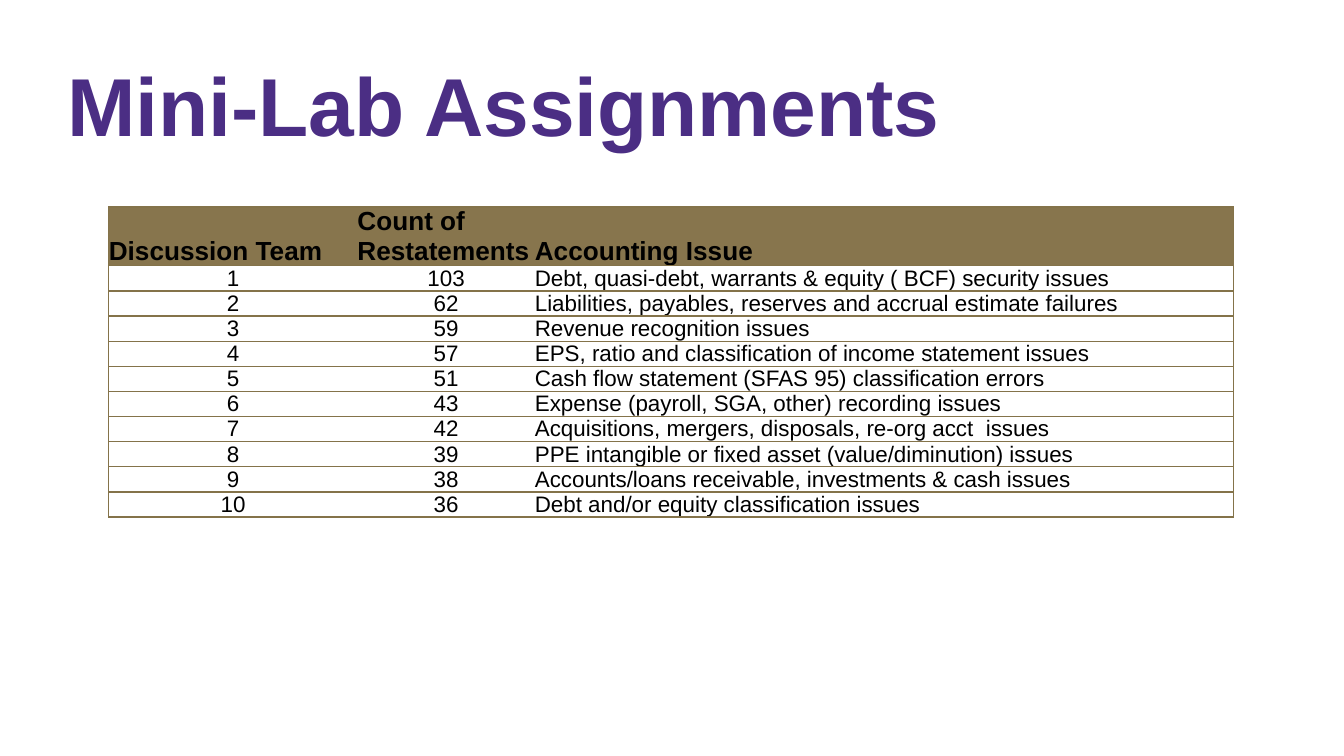
from lxml import etree
from pptx import Presentation
from pptx.dml.color import RGBColor
from pptx.enum.text import MSO_ANCHOR, MSO_AUTO_SIZE, PP_ALIGN
from pptx.oxml.ns import qn
from pptx.util import Inches, Pt

BOTTOM = MSO_ANCHOR.BOTTOM
LEFT, CENTER = PP_ALIGN.LEFT, PP_ALIGN.CENTER
NO_AUTOFIT = MSO_AUTO_SIZE.NONE
TITLE_ONLY = 5

COLORS = {"purple": "4B2E84", "gold": "84734A", "header": "87754D",
          "black": "000000"}
TITLE_FONT = {"name": "Arial", "size": Pt(44), "bold": True}
HEADER_FONT = {"name": "Arial", "size": Pt(14), "bold": True}
BODY_FONT = {"name": "Arial", "size": Pt(12), "bold": False}
CELL_FORMAT = {"margin_left": 0, "margin_right": 0, "margin_top": 0,
               "margin_bottom": 0, "vertical_anchor": BOTTOM}

COLUMN_WIDTHS = [1.85, 1.32, 5.2]
ROW_HEIGHT = 0.18
HEADINGS = ["Discussion Team", "Count of Restatements", "Accounting Issue"]
ISSUES = [
    (103, "Debt, quasi-debt, warrants & equity ( BCF) security issues"),
    (62, "Liabilities, payables, reserves and accrual estimate failures"),
    (59, "Revenue recognition issues"),
    (57, "EPS, ratio and classification of income statement issues"),
    (51, "Cash flow statement (SFAS 95) classification errors"),
    (43, "Expense (payroll, SGA, other) recording issues"),
    (42, "Acquisitions, mergers, disposals, re-org acct  issues"),
    (39, "PPE intangible or fixed asset (value/diminution) issues"),
    (38, "Accounts/loans receivable, investments & cash issues"),
    (36, "Debt and/or equity classification issues"),
]


def apply(target, values):
    for name, value in values.items():
        setattr(target, name, value)


def write(paragraph, text, font, color, align):
    paragraph.alignment = align
    run = paragraph.add_run()
    run.text = text
    apply(run.font, font)
    run.font.color.rgb = RGBColor.from_string(COLORS[color])


def set_borders(cell, sides):
    """Draw gold lines on the given sides and hide the others."""
    properties = cell._tc.get_or_add_tcPr()
    for side in "LRTB":
        line = etree.SubElement(properties, qn(f"a:ln{side}"), w=str(Pt(0.75)))
        if side in sides:
            fill = etree.SubElement(line, qn("a:solidFill"))
            etree.SubElement(fill, qn("a:srgbClr"), val=COLORS["gold"])
        else:
            etree.SubElement(line, qn("a:noFill"))


def add_title(slide, left, top, width, height):
    title = slide.shapes.title
    apply(title, {"left": Inches(left), "top": Inches(top),
                  "width": Inches(width), "height": Inches(height)})
    frame = title.text_frame
    apply(frame, {"auto_size": NO_AUTOFIT, "word_wrap": True,
                  "vertical_anchor": BOTTOM, "margin_bottom": Inches(0.06)})
    write(frame.paragraphs[0], "Mini-Lab Assignments", TITLE_FONT, "purple", LEFT)


def add_assignments(slide, left, top):
    rows = [HEADINGS] + [(str(team), str(count), issue)
                         for team, (count, issue) in enumerate(ISSUES, 1)]
    table = slide.shapes.add_table(
        len(rows), len(HEADINGS), Inches(left), Inches(top),
        Inches(sum(COLUMN_WIDTHS)), Inches(ROW_HEIGHT * len(rows))).table
    apply(table, {"first_row": False, "horz_banding": False})
    for column, width in zip(table.columns, COLUMN_WIDTHS):
        column.width = Inches(width)

    last = len(HEADINGS) - 1
    for r, texts in enumerate(rows):
        table.rows[r].height = Inches(ROW_HEIGHT)
        for c, text in enumerate(texts):
            cell = table.cell(r, c)
            apply(cell, CELL_FORMAT)
            # Outer frame and row rules, without inner vertical lines
            set_borders(cell, "TB" + ("L" if c == 0 else "") + ("R" if c == last else ""))
            if r == 0:
                cell.fill.solid()
                cell.fill.fore_color.rgb = RGBColor.from_string(COLORS["header"])
            else:
                cell.fill.background()
            write(cell.text_frame.paragraphs[0], text,
                  HEADER_FONT if r == 0 else BODY_FONT, "black",
                  CENTER if r > 0 and c < last else LEFT)


def main():
    deck = Presentation()
    # Widescreen 16:9
    deck.slide_width = Inches(10)
    deck.slide_height = deck.slide_width * 9 // 16
    slide = deck.slides.add_slide(deck.slide_layouts[TITLE_ONLY])
    add_title(slide, 0.4, 0.36, 9.08, 0.84)
    add_assignments(slide, 0.81, 1.54)
    deck.save("out.pptx")


if __name__ == "__main__":
    main()
